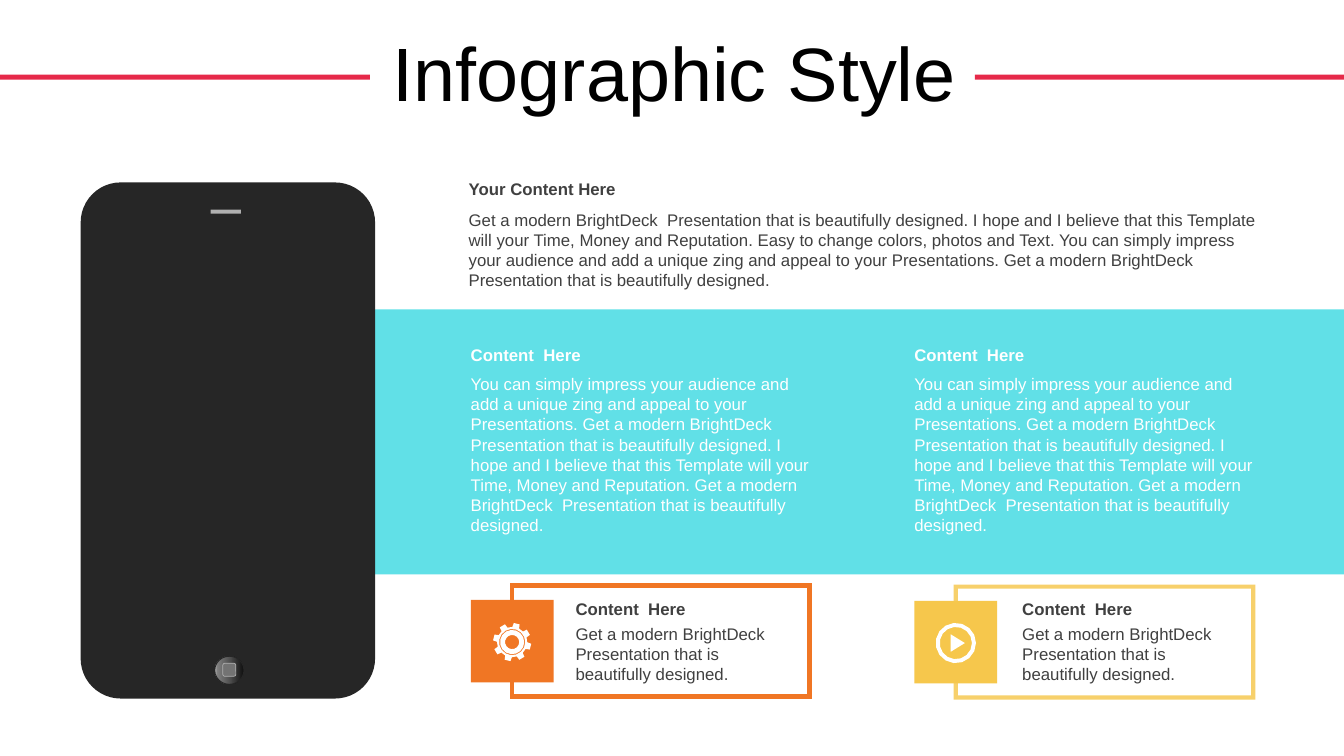
import math
from lxml import etree
from pptx import Presentation
from pptx.dml.color import RGBColor
from pptx.enum import shapes, text
from pptx.oxml import ns
from pptx.util import Inches, Pt

COLORS = {
    "black": "000000", "white": "FFFFFF", "ink": "404040", "red": "E62949",
    "aqua": "1ED4DE", "orange": "F07624", "gold": "F4BD2D", "amber": "F6C74C",
    "body": "262626", "key": "737373", "silver": "B0B0B0",
}
SHAPE = shapes.MSO_SHAPE

prs = Presentation()
prs.slide_width, prs.slide_height = Inches(13.33), Inches(7.5)
slide = prs.slides.add_slide(prs.slide_layouts[5])


def add_block(kind, box, fill=None, line=None, weight=0, alpha=None):
    block = slide.shapes.add_shape(kind, *map(Inches, box))
    block.shadow.inherit = False
    if fill:
        block.fill.solid()
        block.fill.fore_color.rgb = RGBColor.from_string(COLORS[fill])
    else:
        block.fill.background()
    if line:
        block.line.color.rgb = RGBColor.from_string(COLORS[line])
        block.line.width = Pt(weight)
        etree.SubElement(block.line._ln, ns.qn("a:miter"), lim="800000")
    else:
        block.line.fill.background()
    if alpha:
        for color in block._element.spPr.iter(ns.qn("a:srgbClr")):
            etree.SubElement(color, ns.qn("a:alpha"), val=str(alpha * 1000))
    return block


def add_text(box, words, color, bold=False, anchor=text.MSO_ANCHOR.TOP):
    frame = slide.shapes.add_textbox(*map(Inches, box)).text_frame
    frame.word_wrap = True
    frame.auto_size = text.MSO_AUTO_SIZE.SHAPE_TO_FIT_TEXT
    frame.vertical_anchor = anchor
    run = frame.paragraphs[0].add_run()
    run.text = words
    run.font.name, run.font.size, run.font.bold = "Arial", Pt(12), bold
    run.font.color.rgb = RGBColor.from_string(COLORS[color])


title = slide.shapes.title
title.left, title.top, title.width, title.height = map(Inches, (0.36, 0.3, 12.66, 0.92))
title.text_frame.auto_size = text.MSO_AUTO_SIZE.NONE
title.text_frame.vertical_anchor = text.MSO_ANCHOR.MIDDLE
heading = title.text_frame.paragraphs[0]
heading.alignment = text.PP_ALIGN.CENTER
heading.line_spacing = 0.9
heading_run = heading.add_run()
heading_run.text = "Infographic Style"
heading_run.font.name, heading_run.font.size = "Arial", Pt(54)
heading_run.font.color.rgb = RGBColor.from_string(COLORS["black"])

for rule_left in (0, 9.67):
    add_block(SHAPE.RECTANGLE, (rule_left, 0.74, 3.67, 0.05), "red")

add_block(SHAPE.RECTANGLE, (3.72, 3.07, 9.62, 2.63), "aqua", alpha=70)

phone = add_block(SHAPE.ROUNDED_RECTANGLE, (0.8, 1.81, 2.92, 5.12), "body")
phone.adjustments[0] = 0.136
add_block(SHAPE.RECTANGLE, (2.09, 2.08, 0.3, 0.04), "silver")
home_button = add_block(SHAPE.OVAL, (2.13, 6.51, 0.29, 0.28), line="body")
home_button.fill.gradient()
home_button.fill.gradient_angle = 180
stops = home_button._element.spPr.find(".//" + ns.qn("a:gsLst"))
for stop in list(stops):
    stops.remove(stop)
for position, shade in ((0, "0F0F0F"), (56, "595959"), (91, "808080"), (100, "BFBFBF")):
    stop = etree.SubElement(stops, ns.qn("a:gs"), pos=str(position * 1000))
    etree.SubElement(stop, ns.qn("a:srgbClr"), val=shade)
add_block(SHAPE.ROUNDED_RECTANGLE, (2.21, 6.58, 0.13, 0.13), "key", "silver", 0.5)

add_text((4.55, 1.72, 8.1, 0.3), "Your Content Here", "ink", True)
add_text(
    (4.55, 2.03, 8.1, 0.91),
    "Get a modern BrightDeck  Presentation that is beautifully designed. I hope and I "
    "believe that this Template will your Time, Money and Reputation. Easy to change "
    "colors, photos and Text. You can simply impress your audience and add a unique zing "
    "and appeal to your Presentations. Get a modern BrightDeck  Presentation that is "
    "beautifully designed.", "ink")

for column_left in (4.57, 8.97):
    add_text((column_left, 3.37, 3.58, 0.3), "Content  Here", "white", True,
             text.MSO_ANCHOR.MIDDLE)
    add_text(
        (column_left, 3.66, 3.58, 1.72),
        "You can simply impress your audience and add a unique zing and appeal to your "
        "Presentations. Get a modern BrightDeck  Presentation that is beautifully "
        "designed. I hope and I believe that this Template will your Time, Money and "
        "Reputation. Get a modern BrightDeck  Presentation that is beautifully designed.",
        "white")

circle = [math.radians(angle) for angle in range(0, 360, 24)]
gear_teeth = [
    (radius, math.radians(tooth * 45 - 76 + offset))
    for tooth in range(8)
    for offset, radius in ((-13, 0.15), (-9, 0.19), (9, 0.19), (13, 0.15))
]
gear = [gear_teeth] + [[(radius, a) for a in circle] for radius in (0.13, 0.12, 0.07)]
play = [[(radius, a) for a in circle] for radius in (0.2, 0.16)]
play.append([(0.09, 0), (0.1, math.radians(120)), (0.1, math.radians(240))])

cards = (
    (4.67, 5.81, 5.61, "orange", "orange", None, gear),
    (9.07, 5.82, 10.04, "amber", "gold", 70, play),
)
for left, top, text_left, tile, border, alpha, icon in cards:
    add_block(SHAPE.RECTANGLE, (left + 0.41, top, 2.95, 1.1), None, border, 3, alpha)
    add_block(SHAPE.RECTANGLE, (left, top + 0.14, 0.82, 0.82), tile)
    add_text((text_left, 5.89, 2.29, 0.3), "Content  Here", "ink", True,
             text.MSO_ANCHOR.MIDDLE)
    add_text((text_left, 6.14, 2.29, 0.71),
             "Get a modern BrightDeck  Presentation that is beautifully designed.", "ink")
    outline = None
    for contour in icon:
        points = [(Inches(left + 0.41 + radius * math.cos(a)),
                   Inches(top + 0.56 + radius * math.sin(a))) for radius, a in contour]
        if outline is None:
            outline = slide.shapes.build_freeform(*points[0])
        else:
            outline.move_to(*points[0])
        outline.add_line_segments(points[1:], close=True)
    symbol = outline.convert_to_shape()
    symbol.shadow.inherit = False
    symbol.fill.solid()
    symbol.fill.fore_color.rgb = RGBColor.from_string(COLORS["white"])
    symbol.line.fill.background()

prs.save("out.pptx")
